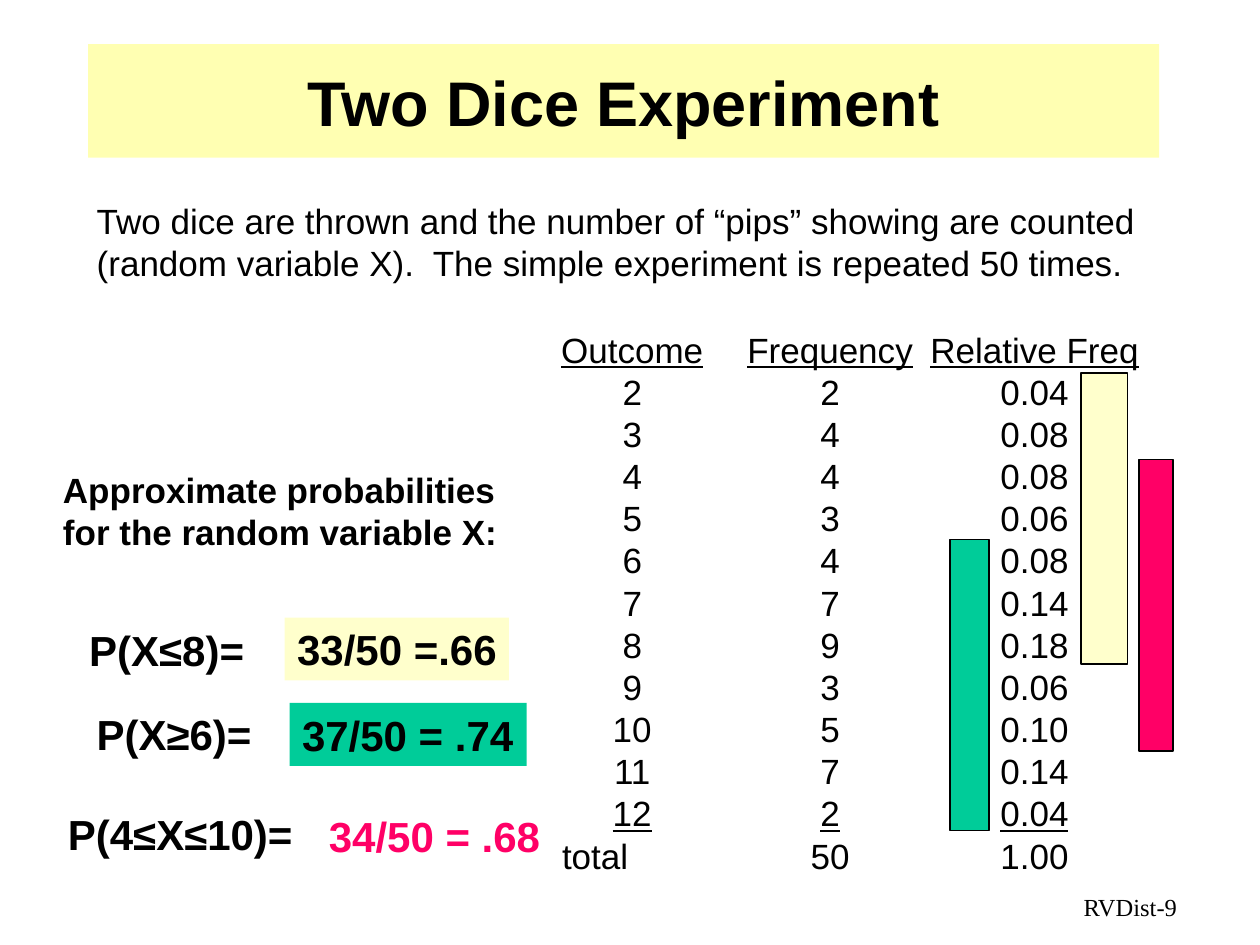
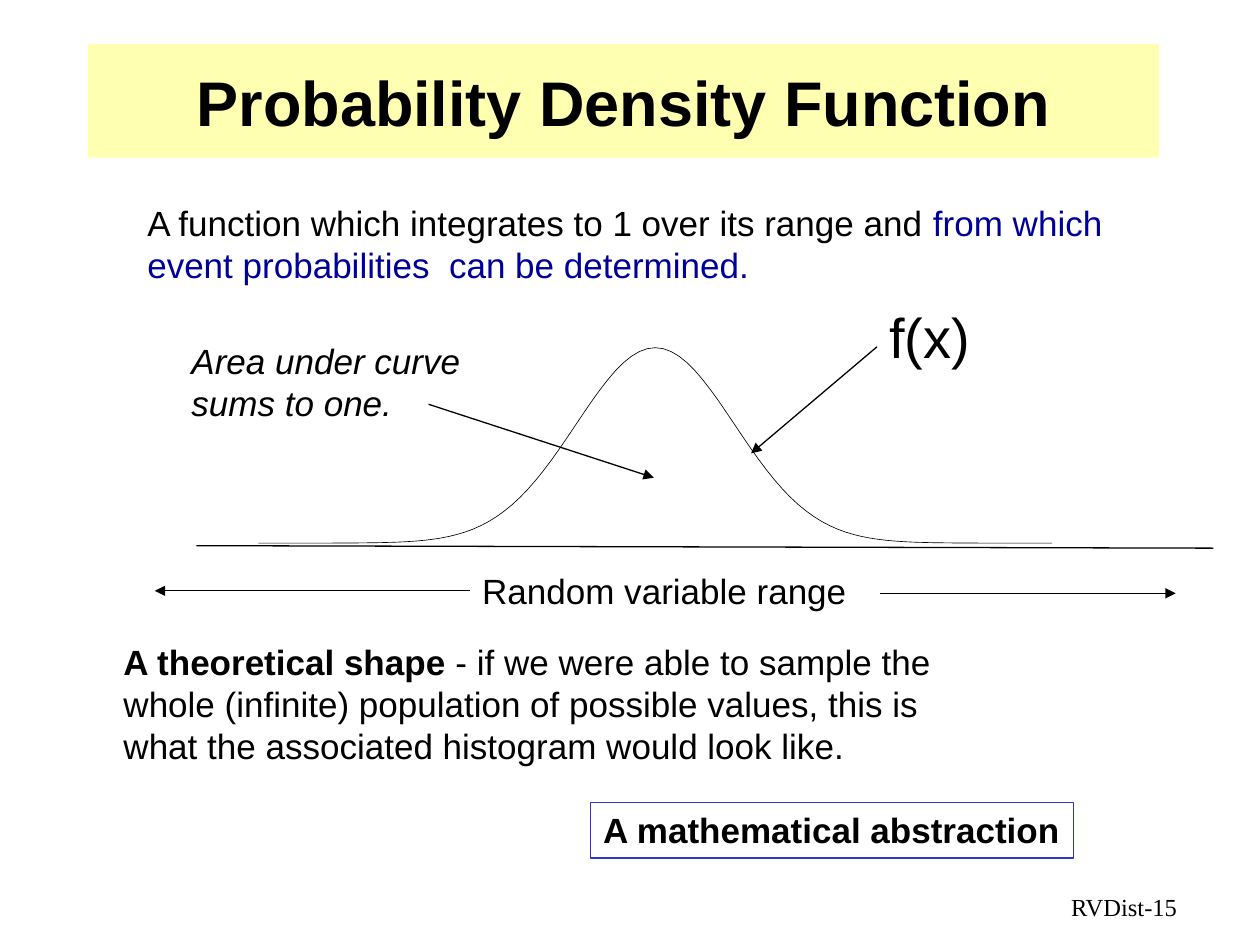
from dataclasses import dataclass, field
from math import exp
from typing import Any

from lxml.etree import SubElement
from pptx import Presentation
from pptx.dml.color import RGBColor
from pptx.enum.shapes import MSO_CONNECTOR, MSO_SHAPE
from pptx.enum.text import MSO_ANCHOR, MSO_AUTO_SIZE, PP_ALIGN
from pptx.oxml.ns import qn
from pptx.util import Cm, Pt


@dataclass(frozen=True)
class Theme:
    black: RGBColor = RGBColor(0x00, 0x00, 0x00)
    title_band: RGBColor = RGBColor(0xFF, 0xFF, 0x66)
    cream: RGBColor = RGBColor(0xFF, 0xFF, 0xCC)
    green: RGBColor = RGBColor(0x00, 0xCC, 0x99)
    pink: RGBColor = RGBColor(0xFF, 0x00, 0x66)
    navy: RGBColor = RGBColor(0x00, 0x00, 0x99)
    frame: RGBColor = RGBColor(0x33, 0x33, 0xCC)
    sans: str = "Arial"
    serif: str = "Times New Roman"
    title: float = 36
    function: float = 32
    probability: float = 24
    body: float = 20
    footer: float = 14
    hairline: float = 0.37
    rule: float = 0.75


THEME = Theme()


@dataclass(frozen=True)
class Area:
    left: float
    top: float
    width: float
    height: float

    def lengths(self) -> tuple:
        return tuple(Cm(n) for n in (self.left, self.top, self.width, self.height))


@dataclass(frozen=True)
class Span:
    text: str
    size: float = THEME.body
    color: RGBColor = THEME.black
    format: dict[str, Any] = field(default_factory=dict)


@dataclass(frozen=True)
class Label:
    area: Area
    paragraphs: tuple[tuple[Span, ...], ...]
    wrap: bool = False
    fill: RGBColor | None = None
    line: RGBColor | None = None
    align: PP_ALIGN = PP_ALIGN.LEFT
    anchor: MSO_ANCHOR = MSO_ANCHOR.TOP


@dataclass(frozen=True)
class Event:
    question: str
    question_area: Area
    answer: str
    answer_area: Area
    bar_area: Area
    color: RGBColor
    filled: bool = True


@dataclass(frozen=True)
class Rule:
    start: tuple[float, float]
    end: tuple[float, float]
    arrow: bool = True


BOLD = {"bold": True}
ITALIC = {"italic": True}
UNDERLINE = {"underline": True}

EVENTS = (
    Event("P(X≤8)=", Area(1.55, 12.47, 3.84, 1.27),
          "33/50 =.66", Area(5.74, 12.45, 4.52, 1.27),
          Area(21.79, 7.52, 0.94, 5.87), THEME.cream),
    Event("P(X≥6)=", Area(1.7, 14.15, 3.84, 1.27),
          "37/50 = .74", Area(5.84, 14.17, 4.78, 1.27),
          Area(19.15, 10.87, 0.79, 5.87), THEME.green),
    Event("P(4≤X≤10)=", Area(1.12, 16.18, 5.46, 1.27),
          "34/50 = .68", Area(6.38, 16.21, 4.78, 1.27),
          Area(22.96, 9.27, 0.69, 5.87), THEME.pink, filled=False),
)

FIRST_OUTCOME = 2
FREQUENCIES = (2, 4, 4, 3, 4, 7, 9, 3, 5, 7, 2)
HEADINGS = ("Outcome", "Frequency", "Relative Freq")
COLUMN_WIDTHS = (4.01, 3.97, 4.27)
TABLE_LEFT, TABLE_TOP, ROW_HEIGHT = 10.74, 6.65, 0.85
TOTAL_INDENT = 0.59

CURVE_CENTER, CURVE_BASE, CURVE_HEIGHT = 13.21, 10.95, 3.94
CURVE_SIGMA, CURVE_STEPS = 1.6, 100


def set_values(target: Any, values: dict[str, Any]) -> None:
    for name, value in values.items():
        setattr(target, name, value)


def add_span(paragraph: Any, span: Span, face: str = THEME.sans) -> None:
    run = paragraph.add_run()
    run.text = span.text
    set_values(run.font, {"name": face, "size": Pt(span.size), **span.format})
    run.font.color.rgb = span.color


def draw_line(line: Any, color: RGBColor = THEME.black, width: float = THEME.rule) -> None:
    line.color.rgb = color
    line.width = Pt(width)


def add_label(slide: Any, label: Label, face: str = THEME.sans) -> Any:
    box = slide.shapes.add_textbox(*label.area.lengths())
    set_values(box.text_frame, {
        "word_wrap": label.wrap,
        "auto_size": MSO_AUTO_SIZE.NONE,
        "vertical_anchor": label.anchor,
    })
    if label.fill is not None:
        box.fill.solid()
        box.fill.fore_color.rgb = label.fill
    if label.line is not None:
        draw_line(box.line, label.line)
    for index, spans in enumerate(label.paragraphs):
        frame = box.text_frame
        paragraph = frame.add_paragraph() if index else frame.paragraphs[0]
        paragraph.alignment = label.align
        for span in spans:
            add_span(paragraph, span, face)
    return box


def add_rule(slide: Any, rule: Rule) -> Any:
    ends = (Cm(n) for n in (*rule.start, *rule.end))
    connector = slide.shapes.add_connector(MSO_CONNECTOR.STRAIGHT, *ends)
    draw_line(connector.line)
    properties = connector.element.spPr
    if rule.arrow:
        SubElement(properties.find(qn("a:ln")), qn("a:tailEnd"), type="triangle")
    SubElement(properties, qn("a:effectLst"))
    return connector


def add_bar(slide: Any, area: Area, color: RGBColor) -> None:
    bar = slide.shapes.add_shape(MSO_SHAPE.RECTANGLE, *area.lengths())
    bar.shadow.inherit = False
    bar.fill.solid()
    bar.fill.fore_color.rgb = color
    draw_line(bar.line)


def add_slide(deck: Any, title: str, number: int) -> Any:
    slide = deck.slides.add_slide(deck.slide_layouts[6])
    heading = add_label(slide, Label(
        Area(1.78, 0.89, 21.59, 2.29), ((Span(title, THEME.title, format=BOLD),),),
        wrap=True, fill=THEME.title_band,
        align=PP_ALIGN.CENTER, anchor=MSO_ANCHOR.MIDDLE))
    band_color = heading.element.spPr.find(f"{qn('a:solidFill')}/{qn('a:srgbClr')}")
    SubElement(band_color, qn("a:alpha"), val="50000")
    add_label(slide, Label(
        Area(18.21, 17.86, 5.77, 0.76), ((Span(f"RVDist-{number}", THEME.footer),),),
        wrap=True, align=PP_ALIGN.RIGHT), THEME.serif)
    return slide


def add_outcomes(slide: Any) -> None:
    total = sum(FREQUENCIES)
    rows = [HEADINGS]
    for outcome, count in enumerate(FREQUENCIES, FIRST_OUTCOME):
        rows.append((str(outcome), str(count), f"{count / total:.2f}"))
    underlined = (0, len(rows) - 1)
    rows.append(("total", str(total), "1.00"))
    area = Area(TABLE_LEFT, TABLE_TOP, sum(COLUMN_WIDTHS), ROW_HEIGHT * len(rows))
    table = slide.shapes.add_table(len(rows), len(HEADINGS), *area.lengths()).table
    set_values(table, {"first_row": False, "horz_banding": False})
    for column, width in zip(table.columns, COLUMN_WIDTHS):
        column.width = Cm(width)
    for row_index, values in enumerate(rows):
        table.rows[row_index].height = Cm(ROW_HEIGHT)
        for column_index, value in enumerate(values):
            cell = table.cell(row_index, column_index)
            is_total = value == "total"
            set_values(cell, {
                "margin_left": Cm(TOTAL_INDENT if is_total else 0),
                "margin_right": 0, "margin_top": 0, "margin_bottom": 0,
                "vertical_anchor": MSO_ANCHOR.MIDDLE,
            })
            cell.fill.background()
            paragraph = cell.text_frame.paragraphs[0]
            paragraph.alignment = PP_ALIGN.LEFT if is_total else PP_ALIGN.CENTER
            add_span(paragraph, Span(
                value, format=UNDERLINE if row_index in underlined else {}))


def add_event(slide: Any, event: Event) -> None:
    add_label(slide, Label(event.question_area, (
        (Span(event.question, THEME.probability, format=BOLD),),)))
    add_bar(slide, event.bar_area, event.color)
    text_color = THEME.black if event.filled else event.color
    add_label(slide, Label(
        event.answer_area,
        ((Span(event.answer, THEME.probability, text_color, BOLD),),),
        fill=event.color if event.filled else None))


def add_density_curve(slide: Any) -> None:
    points = []
    for step in range(CURVE_STEPS + 1):
        deviation = 10 * step / CURVE_STEPS - 5
        height = CURVE_HEIGHT * exp(-deviation ** 2 / 2)
        points.append((Cm(CURVE_CENTER + CURVE_SIGMA * deviation),
                       Cm(CURVE_BASE - height)))
    builder = slide.shapes.build_freeform(*points[0])
    builder.add_line_segments(points[1:], close=False)
    curve = builder.convert_to_shape()
    curve.shadow.inherit = False
    curve.fill.background()
    draw_line(curve.line, width=THEME.hairline)


def build_dice_slide(deck: Any) -> None:
    slide = add_slide(deck, "Two Dice Experiment", 9)
    add_outcomes(slide)
    add_label(slide, Label(Area(1.7, 3.89, 22.71, 1.96), ((Span(
        "Two dice are thrown and the number of “pips” showing are counted "
        "(random variable X).  The simple experiment is repeated 50 times."),),),
        wrap=True))
    for event in EVENTS:
        add_event(slide, event)
    add_label(slide, Label(Area(1.02, 9.32, 9.27, 1.96), ((Span(
        "Approximate probabilities for the random variable X:", format=BOLD),),),
        wrap=True))


def build_density_slide(deck: Any) -> None:
    slide = add_slide(deck, "Probability Density Function", 15)
    add_density_curve(slide)
    labels = (
        Label(Area(2.72, 3.94, 20.5, 1.96), ((
            Span("A function which integrates to 1 over its range and "),
            Span("from which event probabilities  can be determined.",
                 color=THEME.navy)),), wrap=True),
        Label(Area(17.68, 5.97, 2.13, 1.63), ((Span("f(x)", THEME.function),),)),
        Label(Area(3.61, 6.71, 5.92, 1.96), (
            (Span("Area under curve", format=ITALIC),),
            (Span("sums to one.", format=ITALIC),))),
        Label(Area(2.24, 12.78, 17.35, 2.79), ((
            Span("A theoretical shape", format=BOLD),
            Span(" - if we were able to sample the whole (infinite) population of "
                 "possible values, this is what the associated histogram would "
                 "look like.")),), wrap=True),
        Label(Area(11.91, 16.18, 9.73, 1.12), (
            (Span("A mathematical abstraction", format=BOLD),),), line=THEME.frame),
    )
    for label in labels:
        add_label(slide, label)
    range_label = add_label(slide, Label(
        Area(9.47, 11.35, 7.85, 1.12), ((Span("Random variable range"),),)))
    rules = (
        Rule((3.96, 11.0), (24.46, 11.05), arrow=False),
        Rule((17.68, 6.99), (15.14, 9.14)),
        Rule((8.64, 8.15), (13.18, 9.63)),
        Rule((17.73, 11.96), (23.7, 11.96)),
    )
    for rule in rules:
        add_rule(slide, rule)
    lower_range = add_rule(slide, Rule((9.47, 11.91), (3.12, 11.91)))
    lower_range.begin_connect(range_label, 1)


def main() -> None:
    deck = Presentation()
    set_values(deck, {"slide_width": Cm(25.4), "slide_height": Cm(19.05)})
    build_dice_slide(deck)
    build_density_slide(deck)
    deck.save("out.pptx")


if __name__ == "__main__":
    main()
